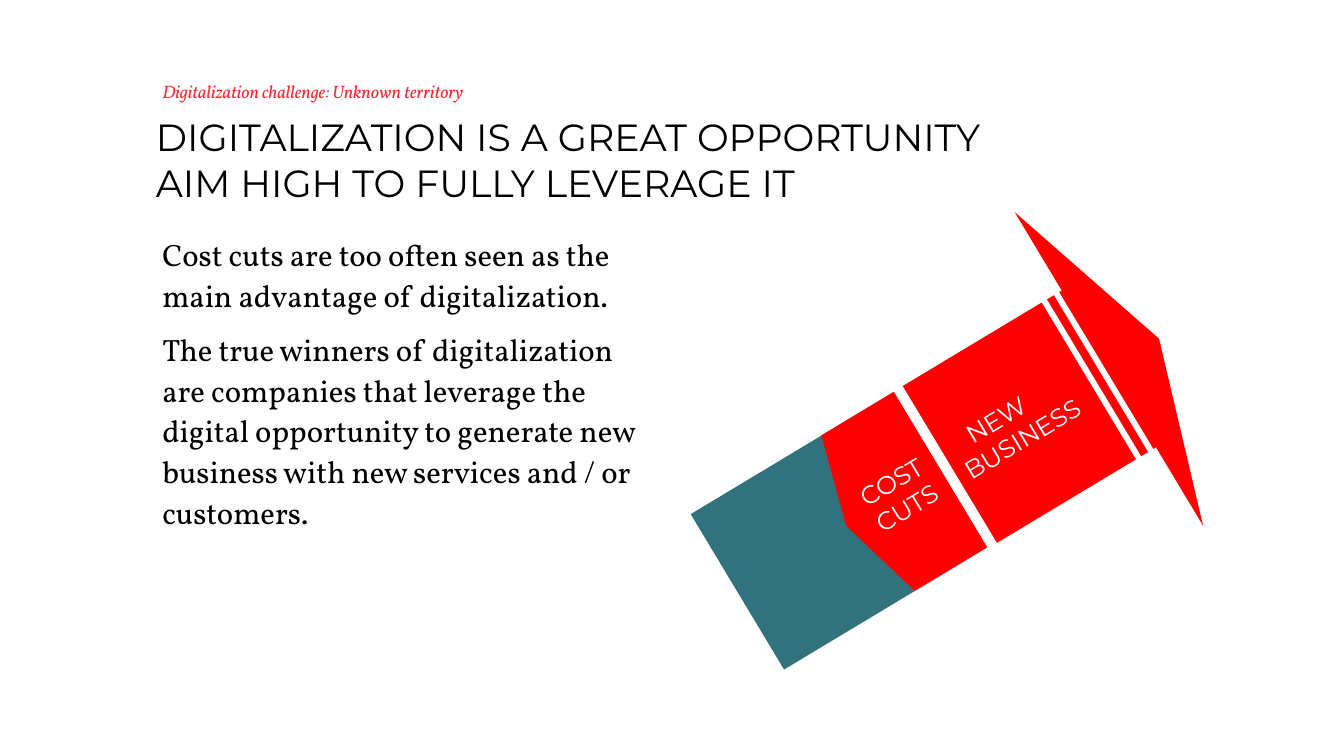
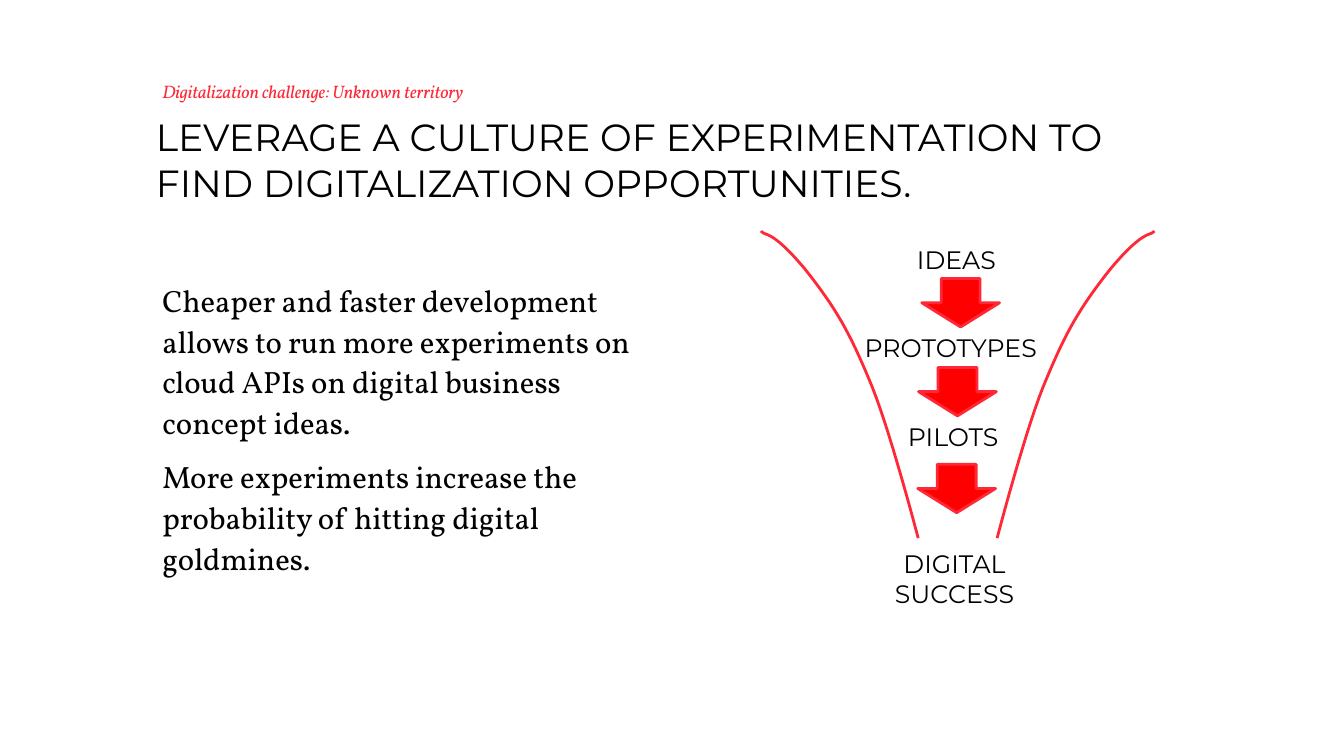
"""Build two slides on digitalization: a growth arrow and an idea funnel."""
from dataclasses import dataclass, field
from typing import Any, Optional

from pptx import Presentation
from pptx.dml.color import RGBColor as RGB
from pptx.enum.shapes import MSO_SHAPE as SHAPE
from pptx.enum.text import MSO_ANCHOR as ANCHOR, PP_ALIGN as ALIGN
from pptx.util import Cm, Pt

COLORS = {"black": "000000", "white": "FFFFFF", "red": "FF0000",
          "accent": "FF2837", "teal": "32727D"}
SANS, SERIF = "Montserrat", "Vollkorn"
KICKER = "Digitalization challenge: Unknown territory"
TILT = 329
STYLES: dict[str, dict[str, Any]] = {
    "title": {"name": SANS, "size": Pt(27), "color": "black"},
    "body": {"name": SERIF, "size": Pt(22), "color": "black"},
    "kicker": {"name": SERIF, "size": Pt(12.9), "italic": True, "color": "accent"},
    "label": {"name": SANS, "size": Pt(18), "color": "black"},
    "on_red": {"name": SANS, "size": Pt(18), "color": "white"},
}


@dataclass
class Box:
    left: float
    top: float
    width: float
    height: float

    def emu(self) -> list[int]:
        return [Cm(v) for v in (self.left, self.top, self.width, self.height)]


@dataclass
class Block:
    box: Box
    kind: Any
    fill: str
    lines: list[str] = field(default_factory=list)
    adjustments: list[float] = field(default_factory=list)
    align: Any = ALIGN.CENTER
    rotation: float = 0
    flipped: bool = False
    line: Optional[str] = None


@dataclass
class Label:
    box: Box
    text: str
    align: Any = ALIGN.LEFT


TITLE_BOX = Box(3.73, 2.69, 26.82, 2.49)
KICKER_BOX = Box(3.84, 1.98, 26.82, 0.71)

ARROW_BLOCKS = [
    Block(Box(18.16, 11.1, 5.94, 4.57), SHAPE.RECTANGLE, "teal", rotation=TILT),
    Block(Box(21.13, 10.26, 2.77, 4.57), SHAPE.PENTAGON, "red", ["COST", "CUTS"],
          [0.23], rotation=TILT, flipped=True),
    Block(Box(23.5, 5.51, 6.15, 9.22), SHAPE.RIGHT_ARROW, "red", ["NEW", "BUSINESS"],
          [0.5, 0.24], ALIGN.LEFT, TILT),
    Block(Box(27.36, 6.48, 0.15, 5.92), SHAPE.RECTANGLE, "white", rotation=TILT),
    Block(Box(27.76, 6.45, 0.15, 5.92), SHAPE.RECTANGLE, "white", rotation=TILT),
]

STAGES = [("IDEAS", 22.86, 2.64), ("PROTOTYPES", 21.54, 5.18), ("PILOTS", 22.63, 2.97)]
FUNNEL_LABELS = [Label(Box(left, 6.02 + 2.24 * i, width, 1.02), text)
                 for i, (text, left, width) in enumerate(STAGES)]
FUNNEL_LABELS.append(Label(Box(22.05, 13.69, 4.01, 1.8), "DIGITAL SUCCESS", ALIGN.CENTER))
FUNNEL_ARROWS = [Block(Box(left, top, 1.96, 1.22), SHAPE.DOWN_ARROW, "red", line="accent")
                 for left, top in [(23.23, 7.02), (23.15, 9.26), (23.13, 11.7)]]

FUNNEL_CURVE = [(19.18, 5.82), (19.28, 5.97), (19.41, 5.74), (20.27, 6.76),
                (21.06, 7.75), (21.41, 8.38), (21.89, 9.53),
                (22.38, 10.64), (23.14, 13.56), (23.14, 13.56)]
FUNNEL_MIRROR = 48.27


def rgb(name: str) -> RGB:
    return RGB.from_string(COLORS[name])


def style_font(font, style: str) -> None:
    for key, value in STYLES[style].items():
        if key == "color":
            font.color.rgb = rgb(value)
        else:
            setattr(font, key, value)


def write(tf, lines: list[str], style: str, **formats: Any) -> None:
    for i, line in enumerate(lines):
        p = tf.paragraphs[0] if i == 0 else tf.add_paragraph()
        for key, value in formats.items():
            if i > 0 or key != "space_before":
                setattr(p, key, value)
        for j, part in enumerate(line.split("\n")):
            if j:
                p.add_line_break()
            r = p.add_run()
            r.text = part
            style_font(r.font, style)


def add_text(s, box: Box, lines: list[str], style: str, anchor=ANCHOR.TOP, **formats: Any):
    tf = s.shapes.add_textbox(*box.emu()).text_frame
    tf.word_wrap = True
    tf.vertical_anchor = anchor
    write(tf, lines, style, **formats)
    return tf


def add_block(s, block: Block):
    sp = s.shapes.add_shape(block.kind, *block.box.emu())
    sp.shadow.inherit = False
    sp.rotation = block.rotation
    sp.fill.solid()
    sp.fill.fore_color.rgb = rgb(block.fill)
    if block.line:
        sp.line.color.rgb = rgb(block.line)
        sp.line.width = Pt(2)
    else:
        sp.line.fill.background()
    for i, value in enumerate(block.adjustments):
        sp.adjustments[i] = value
    if block.flipped:
        sp.element.spPr.xfrm.set("flipH", "1")
    if block.lines:
        sp.text_frame.vertical_anchor = ANCHOR.MIDDLE
        write(sp.text_frame, block.lines, "on_red", alignment=block.align)
    return sp


def curve_points(nodes: list[tuple[float, float]], steps: int = 16) -> list[tuple[float, float]]:
    points = [nodes[0]]
    for k in range(0, len(nodes) - 1, 3):
        for n in range(1, steps + 1):
            t = n / steps
            weights = ((1 - t) ** 3, 3 * t * (1 - t) ** 2, 3 * t * t * (1 - t), t ** 3)
            x, y = (sum(w * node[axis] for w, node in zip(weights, nodes[k:k + 4]))
                    for axis in (0, 1))
            points.append((x, y))
    return points


def add_curve(s, nodes: list[tuple[float, float]]) -> None:
    points = [(Cm(x), Cm(y)) for x, y in curve_points(nodes)]
    builder = s.shapes.build_freeform(*points[0], scale=1.0)
    builder.add_line_segments(points[1:], close=False)
    sp = builder.convert_to_shape()
    sp.shadow.inherit = False
    sp.fill.background()
    sp.line.color.rgb = rgb("accent")
    sp.line.width = Pt(2)


def add_slide(prs, title: str, body: list[str], body_box: Box):
    s = prs.slides.add_slide(prs.slide_layouts[6])
    tf = add_text(s, TITLE_BOX, [title], "title")
    tf.margin_left, tf.margin_top = Cm(0.2), Cm(0.18)
    add_text(s, body_box, body, "body", line_spacing=1.1, space_before=Pt(10))
    add_text(s, KICKER_BOX, [KICKER], "kicker", ANCHOR.BOTTOM)
    return s


def add_arrow_slide(prs) -> None:
    s = add_slide(
        prs, "DIGITALIZATION IS A GREAT OPPORTUNITY\nAIM HIGH TO FULLY LEVERAGE IT",
        ["Cost cuts are too often seen as the main advantage of digitalization.",
         "The true winners of digitalization are companies that leverage the digital "
         "opportunity to generate new business with new services and / or customers."],
        Box(3.84, 5.72, 13, 10.08))
    for block in ARROW_BLOCKS:
        sp = add_block(s, block)
        if block.kind == SHAPE.RIGHT_ARROW:
            pPr = sp.text_frame.paragraphs[0]._p.get_or_add_pPr()
            pPr.set("marL", str(Cm(0.5)))


def add_funnel_slide(prs) -> None:
    s = add_slide(
        prs, "LEVERAGE A CULTURE OF EXPERIMENTATION TO FIND DIGITALIZATION OPPORTUNITIES.",
        ["Cheaper and faster development allows to run more experiments on cloud APIs "
         "on digital business concept ideas.",
         "More experiments increase the probability of hitting digital goldmines."],
        Box(3.84, 6.88, 13, 8.8))
    for label in FUNNEL_LABELS:
        add_text(s, label.box, [label.text], "label", alignment=label.align)
    for arrow in FUNNEL_ARROWS:
        add_block(s, arrow)
    add_curve(s, FUNNEL_CURVE)
    add_curve(s, [(FUNNEL_MIRROR - x, y) for x, y in FUNNEL_CURVE])


def main() -> None:
    prs = Presentation()
    prs.slide_width, prs.slide_height = Cm(33.87), Cm(19.05)
    add_arrow_slide(prs)
    add_funnel_slide(prs)
    prs.save("out.pptx")


if __name__ == "__main__":
    main()
